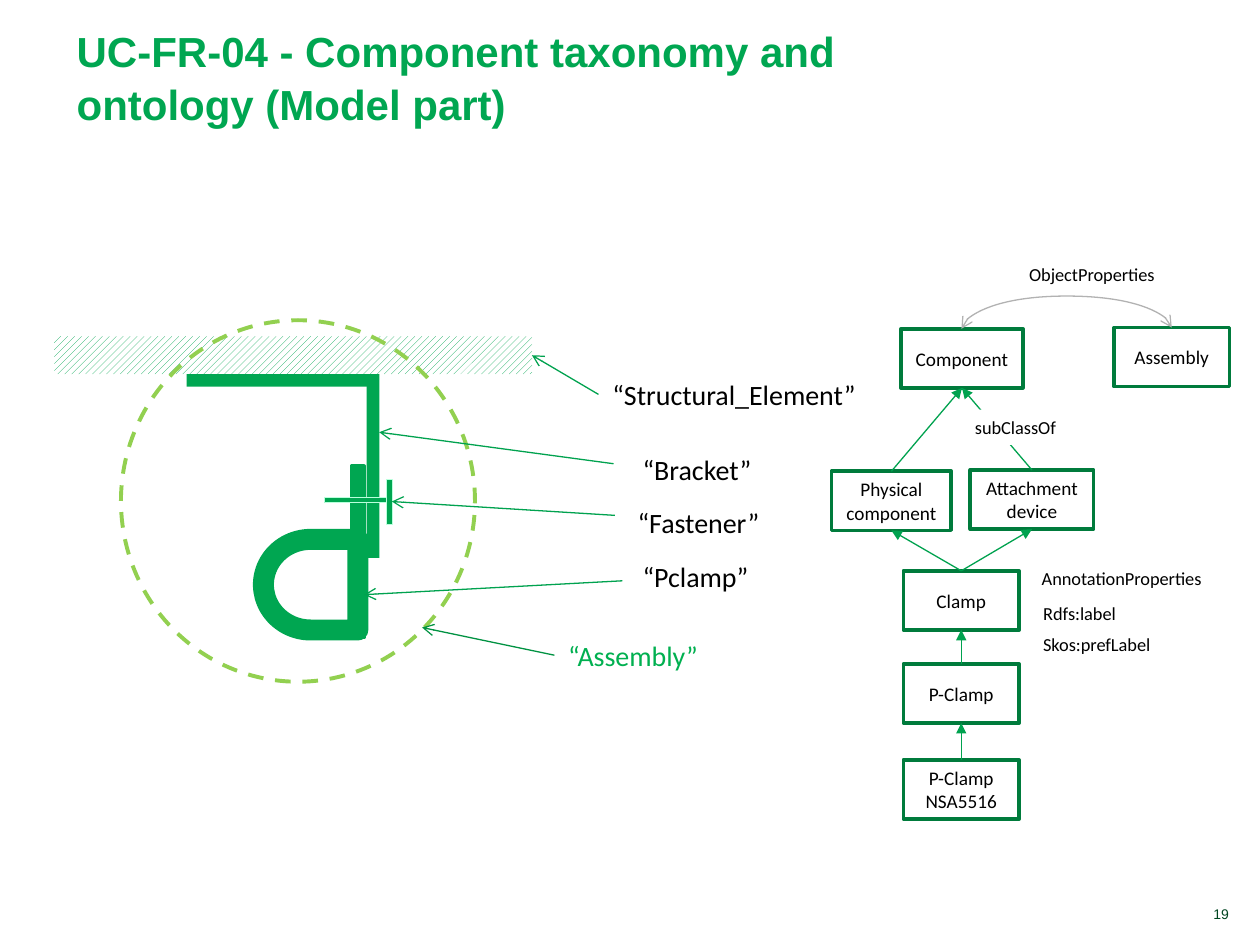
import lxml.etree
import pptx
import pptx.util
import pptx.dml.color
import pptx.enum.dml
import pptx.enum.shapes
import pptx.enum.text
import pptx.oxml.ns

Pt = pptx.util.Pt
RGBColor = pptx.dml.color.RGBColor
MSO_SHAPE = pptx.enum.shapes.MSO_SHAPE
MSO_CONNECTOR = pptx.enum.shapes.MSO_CONNECTOR
PP_ALIGN = pptx.enum.text.PP_ALIGN
MSO_ANCHOR = pptx.enum.text.MSO_ANCHOR
qn = pptx.oxml.ns.qn

GREEN = RGBColor(0x00, 0xA6, 0x51)
ARROW_GREEN = RGBColor(0x00, 0xA2, 0x4F)
DEEP_GREEN = RGBColor(0x00, 0x92, 0x42)
BOX_GREEN = RGBColor(0x00, 0x7B, 0x3C)
TEXT_GREEN = RGBColor(0x00, 0xB0, 0x50)
LIME = RGBColor(0x92, 0xD0, 0x50)
MINT = RGBColor(0xBA, 0xFF, 0xDC)
DARK_GREEN = RGBColor(0x00, 0x46, 0x21)
GREY = RGBColor(0xB2, 0xB2, 0xB2)
BLACK = RGBColor(0, 0, 0)
WHITE = RGBColor(0xFF, 0xFF, 0xFF)

TOP, LEFT, BOTTOM, RIGHT = range(4)


def write_text(s, text, size=11, font="Calibri", color=BLACK, bold=False,
               align=PP_ALIGN.LEFT, anchor=MSO_ANCHOR.TOP, wrap=True,
               inset=(7.2, 3.6), spacing=None):
    """Write one formatted paragraph into a shape."""
    tf = s.text_frame
    tf.word_wrap = wrap
    tf.vertical_anchor = anchor
    tf.margin_left = tf.margin_right = Pt(inset[0])
    tf.margin_top = tf.margin_bottom = Pt(inset[1])
    p = tf.paragraphs[0]
    p.alignment = align
    p.line_spacing = spacing
    r = p.add_run()
    r.text = text
    r.font.size, r.font.name, r.font.bold = Pt(size), font, bold
    r.font.color.rgb = color


def add_text(slide, box, text, **fmt):
    """Add a text box with formatted text."""
    s = slide.shapes.add_textbox(*map(Pt, box))
    write_text(s, text, **fmt)
    return s


def add_shape(slide, kind, box, fill=None, line=None, width=1):
    """Add a preset shape with a plain fill and outline."""
    s = slide.shapes.add_shape(kind, *map(Pt, box))
    s.shadow.inherit = False
    if fill is None:
        s.fill.background()
    else:
        s.fill.solid()
        s.fill.fore_color.rgb = fill
    if line is None:
        s.line.fill.background()
    else:
        s.line.color.rgb = line
        s.line.width = Pt(width)
    return s


def add_arrow(slide, begin=(0, 0), end=(0, 0), color=ARROW_GREEN, tail="arrow",
              head=None, kind=MSO_CONNECTOR.STRAIGHT):
    """Add a thin connector with arrowheads."""
    c = slide.shapes.add_connector(kind, *map(Pt, (*begin, *end)))
    c.line.color.rgb = color
    c.line.width = Pt(0.75)
    sp_pr = c.element.spPr
    ln = sp_pr.find(qn("a:ln"))
    for tag, style in (("a:headEnd", head), ("a:tailEnd", tail)):
        if style:
            lxml.etree.SubElement(ln, qn(tag), type=style)
    lxml.etree.SubElement(sp_pr, qn("a:effectLst"))
    return c


def add_arc(slide, begin, end, rise):
    """Add a double-headed curve that rises above two nearly level points."""
    (x1, y1), (x2, y2) = begin, end
    depth, span = y1 - y2, x2 - x1
    c = add_arrow(slide, begin, end, GREY, head="arrow", kind=MSO_CONNECTOR.CURVE)
    c.left, c.top = Pt((x1 + x2 - depth) / 2), Pt((y1 + y2 - span) / 2)
    c.width, c.height = Pt(depth), Pt(span)
    sp_pr = c.element.spPr
    xfrm = sp_pr.find(qn("a:xfrm"))
    for name, value in (("rot", "5400000"), ("flipH", "1"), ("flipV", "1")):
        xfrm.set(name, value)
    geom = sp_pr.find(qn("a:prstGeom"))
    guides = geom.find(qn("a:avLst"))
    if guides is None:
        guides = lxml.etree.SubElement(geom, qn("a:avLst"))
    lxml.etree.SubElement(guides, qn("a:gd"), name="adj1",
                          fmla=f"val {round(rise / depth * 100000)}")


def add_header(slide, x, y, w, h):
    """Place the slide title."""
    add_text(slide, (x, y, w, h), "UC-FR-04 - Component taxonomy and ontology (Model part)",
             size=24, font="Arial", color=GREEN, bold=True,
             anchor=MSO_ANCHOR.BOTTOM, spacing=1.05)


def add_page_number(slide, x, y, w, h):
    """Place the page number."""
    add_text(slide, (x, y, w, h), "19", size=8, font="Arial", color=DARK_GREEN,
             align=PP_ALIGN.RIGHT, anchor=MSO_ANCHOR.BOTTOM)


def add_clamp_drawing(slide, x, y):
    """Draw the clamp assembly with its callouts."""
    rect, bar = MSO_SHAPE.RECTANGLE, MSO_SHAPE.FLOWCHART_PROCESS
    structure = add_shape(slide, rect, (x, y + 9.2, 273, 21.6))
    structure.fill.patterned()
    structure.fill.pattern = pptx.enum.dml.MSO_PATTERN.WIDE_UPWARD_DIAGONAL
    structure.fill.fore_color.rgb = GREEN
    structure.fill.back_color.rgb = WHITE
    for kind, dx, dy, w, h, line, width in (
            (rect, 75.6, 30.8, 103.7, 7.2, None, 0),
            (rect, 178.6, 30.8, 7.2, 105, None, 0),
            (rect, 169.9, 83.4, 7.2, 97.9, GREEN, 2),
            (MSO_SHAPE.FLOWCHART_DELAY, 119.5, 125.2, 54, 51.8, GREEN, 12),
            (bar, 154, 101.4, 37.4, 2.9, MINT, 0.25),
            (bar, 190, 90.6, 2.9, 25.9, MINT, 0.25)):
        fill = None if kind == MSO_SHAPE.FLOWCHART_DELAY else GREEN
        s = add_shape(slide, kind, (x + dx, y + dy, w, h), fill, line, width)
        if fill is None:
            s.rotation = 180
    ring = add_shape(slide, MSO_SHAPE.OVAL, (x + 38.1, y, 202.3, 206.6), line=LIME, width=2.25)
    ring.line.dash_style = pptx.enum.dml.MSO_LINE.DASH

    for text, dx, dy, w, begin, end, color, arrow_color in (
            ("“Structural_Element”", 311, 28.7, 157.7, None, None, BLACK, ARROW_GREEN),
            ("“Bracket”", 328.3, 71.2, 79.9, (319.6, 82), (185.7, 64), BLACK, ARROW_GREEN),
            ("“Fastener”", 325.4, 101.4, 87.1, (320.4, 111.5), (192.9, 103.6), BLACK, ARROW_GREEN),
            ("“Pclamp”", 328.3, 132.4, 77.8, (324.7, 148.9), (177.1, 156.8), BLACK, ARROW_GREEN),
            ("“Assembly”", 285.8, 177.7, 91.4, None, (210.2, 175.6), TEXT_GREEN, DEEP_GREEN)):
        label = add_text(slide, (x + dx, y + dy, w, 27.4), text, size=16, color=color,
                         wrap=False, inset=(7.92, 4.32))
        start = begin or (dx, dy + 13.7)
        stop = end or (273, 20)
        c = add_arrow(slide, (x + start[0], y + start[1]), (x + stop[0], y + stop[1]), arrow_color)
        if begin is None:
            c.begin_connect(label, LEFT)
        if end is None:
            c.end_connect(structure, RIGHT)


def add_taxonomy(slide, x, y):
    """Draw the class boxes, their relations and their notes."""
    h = 33.8
    boxes = {}
    for text, dx, dy, w in (
            ("Physical component", 0.2, 122.3, 68.4),
            ("Attachment device", 79.4, 121.6, 70.6),
            ("Clamp", 41.2, 179.2, 66.2),
            ("P-Clamp", 41.2, 232.4, 66.2),
            ("P-Clamp NSA5516", 41.2, 287.2, 66.2),
            ("Component", 39.8, 40.9, 69.8),
            ("Assembly", 161.5, 40.2, 66.2)):
        s = boxes[text] = add_shape(slide, MSO_SHAPE.RECTANGLE, (x + dx, y + dy, w, h),
                                    line=BOX_GREEN, width=2)
        write_text(s, text, align=PP_ALIGN.CENTER, anchor=MSO_ANCHOR.MIDDLE, inset=(7.92, 4.32))

    for child, parent in (
            ("Clamp", "Physical component"), ("Clamp", "Attachment device"),
            ("P-Clamp", "Clamp"), ("P-Clamp NSA5516", "P-Clamp"),
            ("Attachment device", "Component"), ("Physical component", "Component")):
        c = add_arrow(slide, tail="triangle")
        c.begin_connect(boxes[child], TOP)
        c.end_connect(boxes[parent], BOTTOM)
    add_arc(slide, (x + 74.4, y + 40.9), (x + 194.6, y + 40.2), 18.5)

    for text, dx, dy, w in (
            ("ObjectProperties", 106, 0, 87.8),
            ("subClassOf", 75, 87, 62),
            ("Rdfs:label", 114, 193.7, 57),
            ("Skos:prefLabel", 114, 211, 77),
            ("AnnotationProperties", 113.2, 173.4, 107.3)):
        s = add_shape(slide, MSO_SHAPE.RECTANGLE, (x + dx, y + dy, w, 20.2), fill=WHITE)
        write_text(s, text, size=10.5, wrap=False)


def main():
    """Build the slide and save it."""
    prs = pptx.Presentation()
    prs.slide_width, prs.slide_height = Pt(720), Pt(540)
    slide = prs.slides.add_slide(prs.slide_layouts[6])
    add_page_number(slide, 615, 514, 94.3, 16.6)
    add_header(slide, 36.7, 11.5, 490.3, 65.5)
    add_clamp_drawing(slide, 31, 183)
    add_taxonomy(slide, 475, 147)
    prs.save("out.pptx")


if __name__ == "__main__":
    main()
